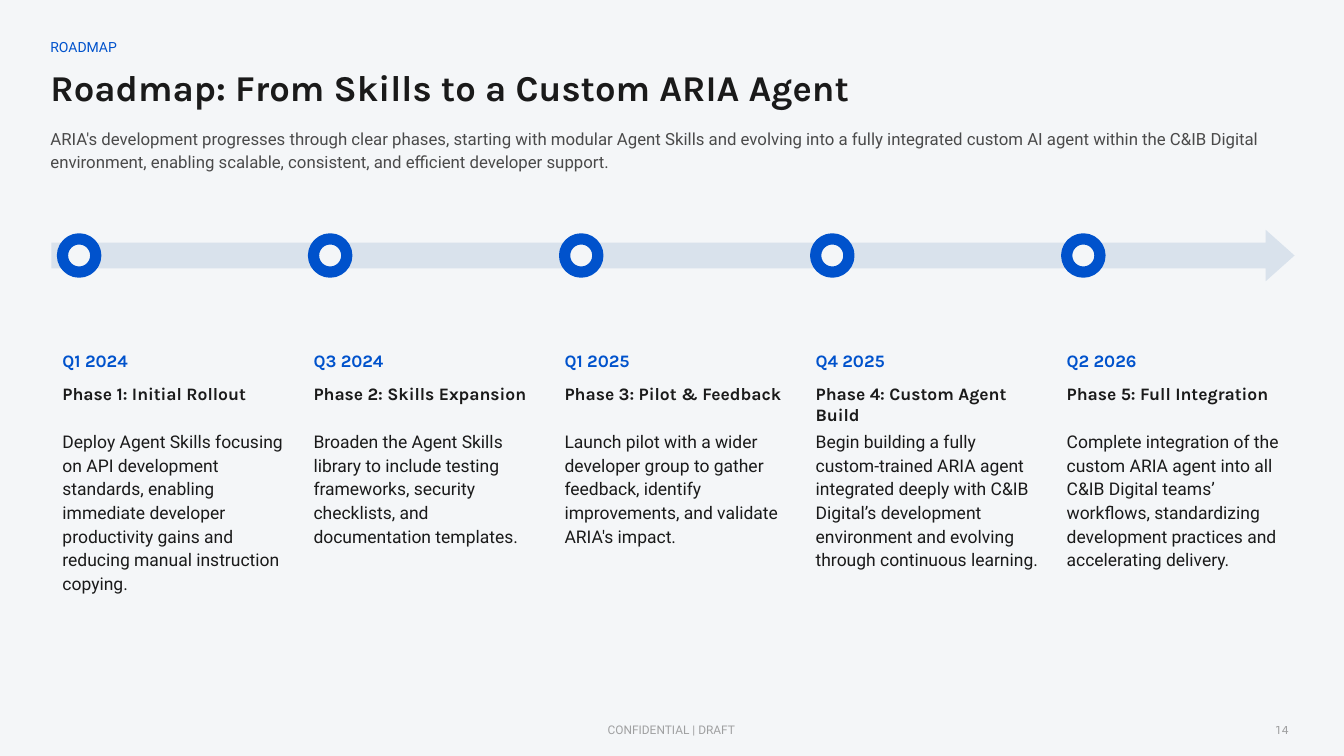
from lxml.etree import SubElement
from pptx import Presentation
from pptx.dml.color import RGBColor
from pptx.enum.shapes import MSO_SHAPE as Shape
from pptx.enum.text import MSO_ANCHOR as Anchor, MSO_AUTO_SIZE as AutoSize, PP_ALIGN as Align
from pptx.oxml.ns import qn
from pptx.util import Inches, Pt

PHASES = [
    ("Q1 2024", "Phase 1: Initial Rollout",
     "Deploy Agent Skills focusing on API development standards, enabling immediate "
     "developer productivity gains and reducing manual instruction copying."),
    ("Q3 2024", "Phase 2: Skills Expansion",
     "Broaden the Agent Skills library to include testing frameworks, security "
     "checklists, and documentation templates."),
    ("Q1 2025", "Phase 3: Pilot & Feedback",
     "Launch pilot with a wider developer group to gather feedback, identify "
     "improvements, and validate ARIA's impact."),
    ("Q4 2025", "Phase 4: Custom Agent Build",
     "Begin building a fully custom-trained ARIA agent integrated deeply with C&IB "
     "Digital’s development environment and evolving through continuous learning."),
    ("Q2 2026", "Phase 5: Full Integration",
     "Complete integration of the custom ARIA agent into all C&IB Digital teams’ "
     "workflows, standardizing development practices and accelerating delivery."),
]


def color(value):
    return RGBColor.from_string(value)


class RoadmapPage:
    HEADING, BODY = "Karla", "Roboto"
    INK, GREY, BLUE = "1A1A1A", "4A4A4A", "0052CC"
    PAPER, TRACK = "F4F6F8", "D9E2EC"

    def __init__(self, deck):
        self.page = deck.slides.add_slide(deck.slide_layouts[5])
        self.page.background.fill.solid()
        self.page.background.fill.fore_color.rgb = color(self.PAPER)

    def fill_text(self, box, text, size, font, ink, bold=False, anchor=Anchor.MIDDLE,
                  insets=(0, 0, 0, 0), align=Align.LEFT, spacing=1.0, opacity=None):
        frame = box.text_frame
        frame.text = text
        frame.word_wrap = True
        frame.auto_size = AutoSize.NONE
        frame.vertical_anchor = anchor
        (frame.margin_left, frame.margin_top,
         frame.margin_right, frame.margin_bottom) = map(Inches, insets)
        para = frame.paragraphs[0]
        para.alignment = align
        para.line_spacing = spacing
        para.space_before = Pt(0)
        span = para.runs[0]
        span.font.size = Pt(size)
        span.font.name = font
        span.font.bold = bold
        span.font.color.rgb = color(ink)
        if opacity is not None:
            tint = span._r.find(".//" + qn("a:srgbClr"))
            SubElement(tint, qn("a:alpha"), val=str(opacity * 1000))

    def title(self, text, *place):
        box = self.page.shapes.title
        box.left, box.top, box.width, box.height = map(Inches, place)
        self.fill_text(box, text, 26, self.HEADING, self.INK, bold=True,
                       insets=(0, 0.1, 0, 0.05))

    def text(self, text, place, size, font, ink, **style):
        box = self.page.shapes.add_textbox(*map(Inches, place))
        self.fill_text(box, text, size, font, ink, **style)

    def shape(self, kind, place, fill, line=None, weight=0):
        shape = self.page.shapes.add_shape(kind, *map(Inches, place))
        shape.shadow.inherit = False
        shape.fill.solid()
        shape.fill.fore_color.rgb = color(fill)
        if line:
            shape.line.color.rgb = color(line)
            shape.line.width = Pt(weight)
        else:
            shape.line.fill.background()
        return shape

    def phase(self, left, quarter, name, detail):
        width, insets = 2.24, (0, 0.05, 0, 0)
        self.shape(Shape.OVAL, (left, 2.37, 0.33, 0.33), self.PAPER, self.BLUE, 8)
        self.text(quarter, (left, 3.4, width, 0.35), 12.5, self.HEADING, self.BLUE, bold=True)
        self.text(name, (left, 3.75, width, 0.45), 12.5, self.HEADING, self.INK,
                  bold=True, anchor=Anchor.TOP, insets=insets)
        self.text(detail, (left, 4.2, width, 2.42), 12.5, self.BODY, self.INK,
                  anchor=Anchor.TOP, insets=insets, spacing=1.13)

    def footer(self, text, left, width, align):
        self.text(text, (left, 7.12, width, 0.24), 8.5, self.BODY, self.GREY,
                  insets=(0.05,) * 4, align=align, opacity=50)


def main():
    deck = Presentation()
    deck.slide_width, deck.slide_height = Inches(13.33), Inches(7.5)
    roadmap = RoadmapPage(deck)

    # Heading
    roadmap.text("ROADMAP", (0.5, 0.38, 12.33, 0.2), 10, roadmap.BODY, roadmap.BLUE,
                 spacing=0.9)
    roadmap.title("Roadmap: From Skills to a Custom ARIA Agent", 0.5, 0.5, 12.33, 0.67)
    roadmap.text("ARIA's development progresses through clear phases, starting with modular "
                 "Agent Skills and evolving into a fully integrated custom AI agent within the "
                 "C&IB Digital environment, enabling scalable, consistent, and efficient "
                 "developer support.",
                 (0.5, 1.14, 12.33, 0.68), 12, roadmap.BODY, roadmap.GREY,
                 insets=(0, 0.05, 0.05, 0.05), spacing=1.14)

    # Timeline
    arrow = roadmap.shape(Shape.RIGHT_ARROW, (0.51, 2.28, 12.33, 0.51), roadmap.TRACK)
    arrow.adjustments[0], arrow.adjustments[1] = 0.5, 0.56
    for index, phase in enumerate(PHASES):
        roadmap.phase(0.62 + index * 2.49, *phase)

    # Footer
    roadmap.footer("CONFIDENTIAL | DRAFT", 4.41, 4.5, Align.CENTER)
    roadmap.footer("14", 9.83, 3, Align.RIGHT)

    deck.save("out.pptx")


if __name__ == "__main__":
    main()
